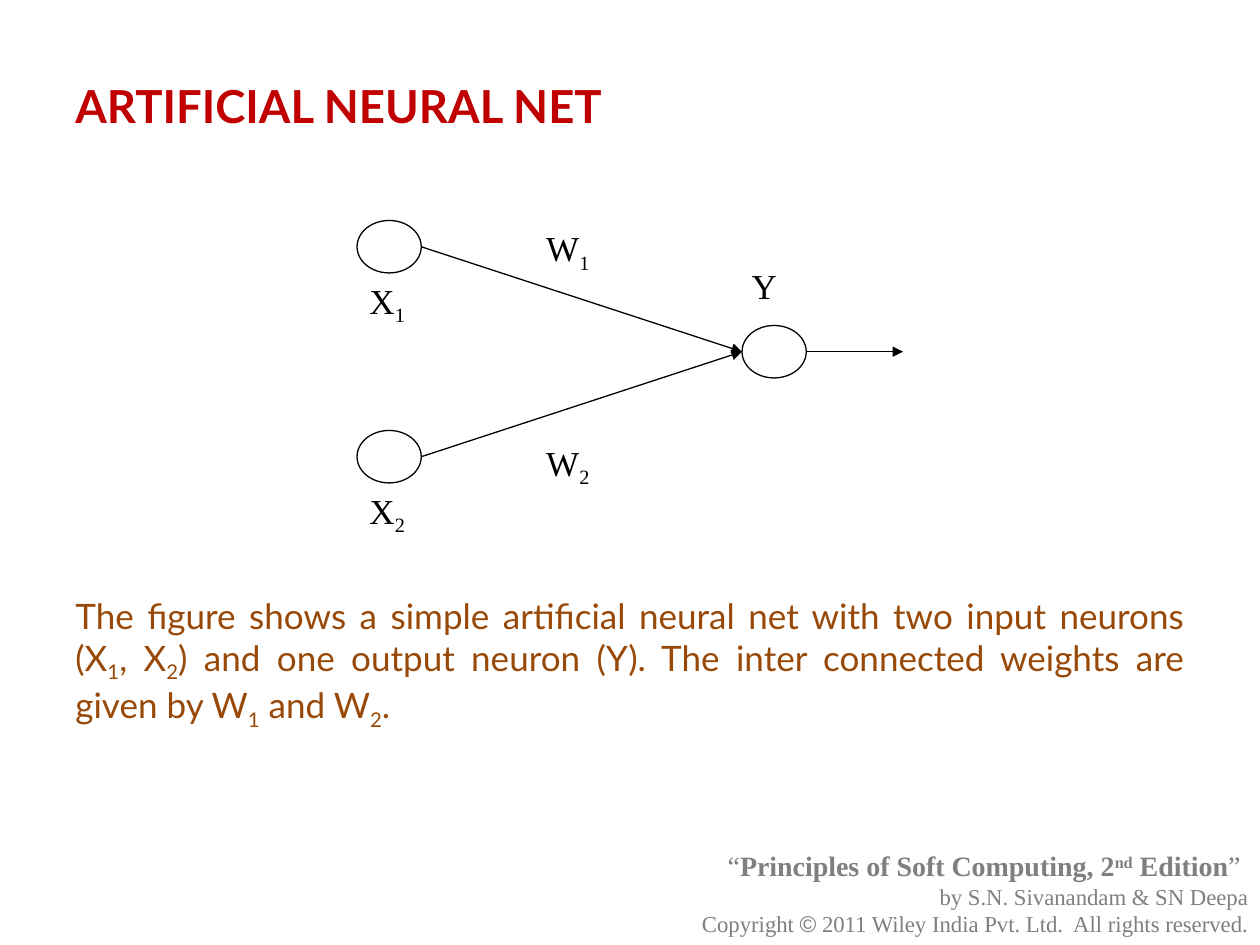
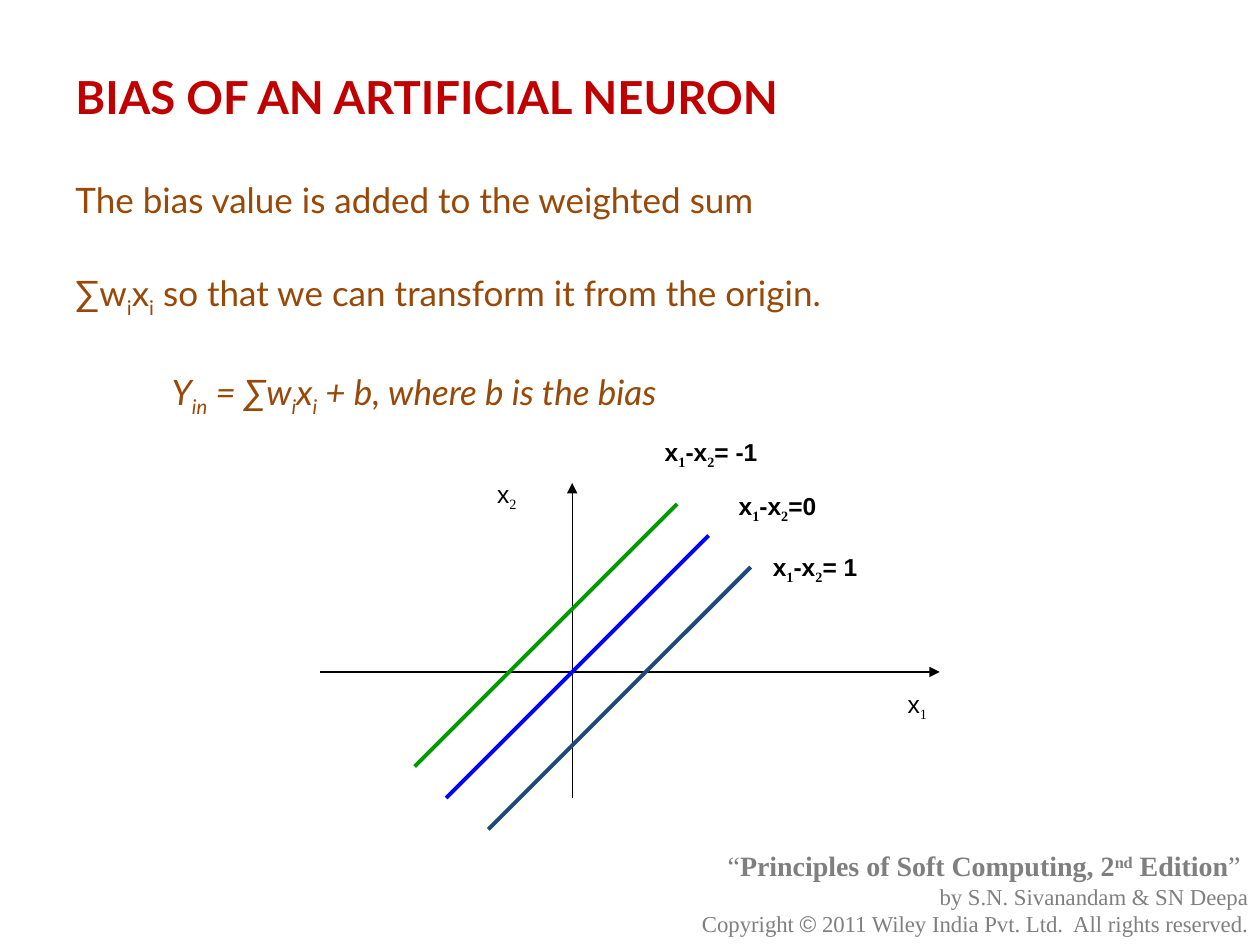
import lxml.etree
import pptx
import pptx.dml.color
import pptx.enum.shapes
import pptx.enum.text
import pptx.oxml.ns
import pptx.util

Pt = pptx.util.Pt
RGBColor = pptx.dml.color.RGBColor
ALIGN = pptx.enum.text.PP_ALIGN
SHAPE = pptx.enum.shapes.MSO_SHAPE

BLACK = RGBColor(0x00, 0x00, 0x00)
WHITE = RGBColor(0xFF, 0xFF, 0xFF)
RED = RGBColor(0xC0, 0x00, 0x00)
BROWN = RGBColor(0x98, 0x48, 0x07)
GRAY = RGBColor(0x7F, 0x7F, 0x7F)
GREEN = RGBColor(0x00, 0x99, 0x00)
BLUE = RGBColor(0x00, 0x00, 0xFF)
NAVY = RGBColor(0x1F, 0x49, 0x7D)

HEADING_FONT = "Lato"
SERIF = "Times New Roman"
SANS = "Arial"
MARGIN = 36
CONTENT_WIDTH = 648


def add_text(paragraph, text, *, font, size, color, bold=False, italic=False,
             shift=-25, shifted_font=None):
    """Add text whose parts between bars are raised or lowered by shift percent."""
    for index, part in enumerate(text.split("|")):
        if not part:
            continue
        shifted = index % 2 == 1
        run = paragraph.add_run()
        run.text = part
        run.font.name = shifted_font if shifted and shifted_font else font
        run.font.size = Pt(size)
        run.font.bold = bold
        run.font.italic = italic
        run.font.color.rgb = color
        if shifted:
            run._r.get_or_add_rPr().set("baseline", str(shift * 1000))


class Deck:
    """Holds the shared style and the current slide."""

    def __init__(self):
        self.presentation = pptx.Presentation()
        self.presentation.slide_width = Pt(720)
        self.presentation.slide_height = Pt(540)
        self.slide = None

    def start_slide(self, title, title_top):
        self.slide = self.presentation.slides.add_slide(self.presentation.slide_layouts[6])
        frame = self.text_frame(MARGIN, title_top, CONTENT_WIDTH, 39)
        add_text(frame.paragraphs[0], title, font=HEADING_FONT, size=26, color=RED, bold=True)
        self.footer()

    def text_frame(self, left, top, width, height, fill=None):
        box = tuple(Pt(length) for length in (left, top, width, height))
        if fill is None:
            shape = self.slide.shapes.add_textbox(*box)
        else:
            shape = self.filled_shape(SHAPE.RECTANGLE, box, fill)
            shape.line.fill.background()
        frame = shape.text_frame
        frame.word_wrap = True
        frame.vertical_anchor = pptx.enum.text.MSO_ANCHOR.TOP
        frame.paragraphs[0].alignment = ALIGN.LEFT
        return frame

    def filled_shape(self, kind, box, fill):
        shape = self.slide.shapes.add_shape(kind, *box)
        shape.shadow.inherit = False
        shape.fill.solid()
        shape.fill.fore_color.rgb = fill
        return shape

    def footer(self):
        frame = self.text_frame(MARGIN, 481.5, 684, 57.5)
        edition, authors, rights = (frame.paragraphs[0], frame.add_paragraph(),
                                    frame.add_paragraph())
        for paragraph in (edition, authors, rights):
            paragraph.alignment = ALIGN.RIGHT
        large = {"font": SERIF, "size": 16, "color": GRAY}
        small = {**large, "size": 13}
        add_text(edition, "“", **large)
        add_text(edition, "Principles of Soft Computing, 2|nd| Edition", bold=True, shift=30, **large)
        add_text(edition, "” ", **large)
        add_text(authors, "by S.N. Sivanandam & SN Deepa", **small)
        add_text(rights, "Copyright ", **small)
        add_text(rights, "©", **{**small, "font": SANS})
        add_text(rights, " 2011 Wiley India Pvt. Ltd.  All rights reserved.", **small)

    def neuron(self, left, top, width, height):
        box = tuple(Pt(length) for length in (left, top, width, height))
        shape = self.filled_shape(SHAPE.OVAL, box, WHITE)
        shape.line.color.rgb = BLACK
        shape.line.width = Pt(0.75)

    def neuron_label(self, text, left, top, width):
        frame = self.text_frame(left, top, width, 30, fill=WHITE)
        add_text(frame.paragraphs[0], text, font=SERIF, size=20, color=BLACK)

    def plot_label(self, text, left, top, width, bold=False):
        frame = self.text_frame(left, top, width, 26.5)
        add_text(frame.paragraphs[0], text, font=SANS, size=14, color=BLACK,
                 bold=bold, shifted_font=SERIF)

    def line(self, start, end, color=BLACK, width=0.75, arrow=False):
        ends = (Pt(length) for length in (*start, *end))
        connector = self.slide.shapes.add_connector(
            pptx.enum.shapes.MSO_CONNECTOR.STRAIGHT, *ends)
        connector.line.color.rgb = color
        connector.line.width = Pt(width)
        qn = pptx.oxml.ns.qn
        if arrow:
            outline = connector.line._get_or_add_ln()
            lxml.etree.SubElement(outline, qn("a:tailEnd"), type="triangle")
        lxml.etree.SubElement(connector._element.spPr, qn("a:effectLst"))


def build_neural_net(deck):
    """Draw two input neurons joined to one output neuron."""
    deck.start_slide("ARTIFICIAL NEURAL NET", 41)
    input_left, output_left, width, height = 204, 424, 36.7, 30
    input_tops, output_top = (126, 246), 186
    output_middle = output_top + height / 2

    for number, (top, weight_top) in enumerate(zip(input_tops, (126, 248.5)), start=1):
        deck.neuron_label(f"X|{number}|", input_left, top + height, 74)
        deck.neuron_label(f"W|{number}|", 305, weight_top, 74)
    deck.neuron_label("Y", 422.5, 147.5, 55)

    deck.neuron(output_left, output_top, width, height)
    for top in input_tops:
        deck.neuron(input_left, top, width, height)
        deck.line((input_left + width, top + height / 2), (output_left, output_middle), arrow=True)
    deck.line((output_left + width, output_middle), (516, output_middle), arrow=True)

    paragraph = deck.text_frame(MARGIN, 336, CONTENT_WIDTH, 86).paragraphs[0]
    paragraph.alignment = ALIGN.JUSTIFY
    add_text(paragraph,
             "The figure shows a simple artificial neural net with two input neurons "
             "(X|1|, X|2|) and one output neuron (Y). The inter connected weights are "
             "given by W|1| and W|2|.",
             font=HEADING_FONT, size=20, color=BROWN)


def build_bias(deck):
    """Explain the bias and plot three shifted lines."""
    deck.start_slide("BIAS OF AN ARTIFICIAL NEURON", 36)
    frame = deck.text_frame(MARGIN, 96, CONTENT_WIDTH, 180)
    statements = (
        ("The bias value is added to the weighted sum", False),
        ("∑w|i|x|i| so that we can transform it from the origin.", False),
        ("Y|in| = ∑w|i|x|i| + b, where b is the bias", True),
    )
    for index, (text, formula) in enumerate(statements):
        paragraph = frame.add_paragraph() if index else frame.paragraphs[0]
        paragraph.line_spacing = 1.1
        if index:
            paragraph.space_before = Pt(26.5)
        if formula:
            paragraph._p.get_or_add_pPr().set("marL", str(Pt(55)))
        add_text(paragraph, text, font=HEADING_FONT, size=20, color=BROWN, italic=formula)

    deck.line((183, 384), (537, 384), arrow=True)
    deck.line((327, 456), (327, 276), arrow=True)
    deck.plot_label("x|1|", 511.5, 390, 35)
    deck.plot_label("x|2|", 277, 270, 35)

    rise = 150
    boundaries = (
        ("x|1|-x|2|= -1", GREEN, (387, 288), (372.75, 246)),
        ("x|1|-x|2|=0", BLUE, (405, 306), (415, 277)),
        ("x|1|-x|2|= 1", NAVY, (429, 324), (434.5, 312)),
    )
    for text, color, (right, top), label_corner in boundaries:
        deck.line((right, top), (right - rise, top + rise), color=color, width=2.25)
        deck.plot_label(text, *label_corner, 85, bold=True)


def main():
    """Build both slides and save them."""
    deck = Deck()
    build_neural_net(deck)
    build_bias(deck)
    deck.presentation.save("out.pptx")


if __name__ == "__main__":
    main()
